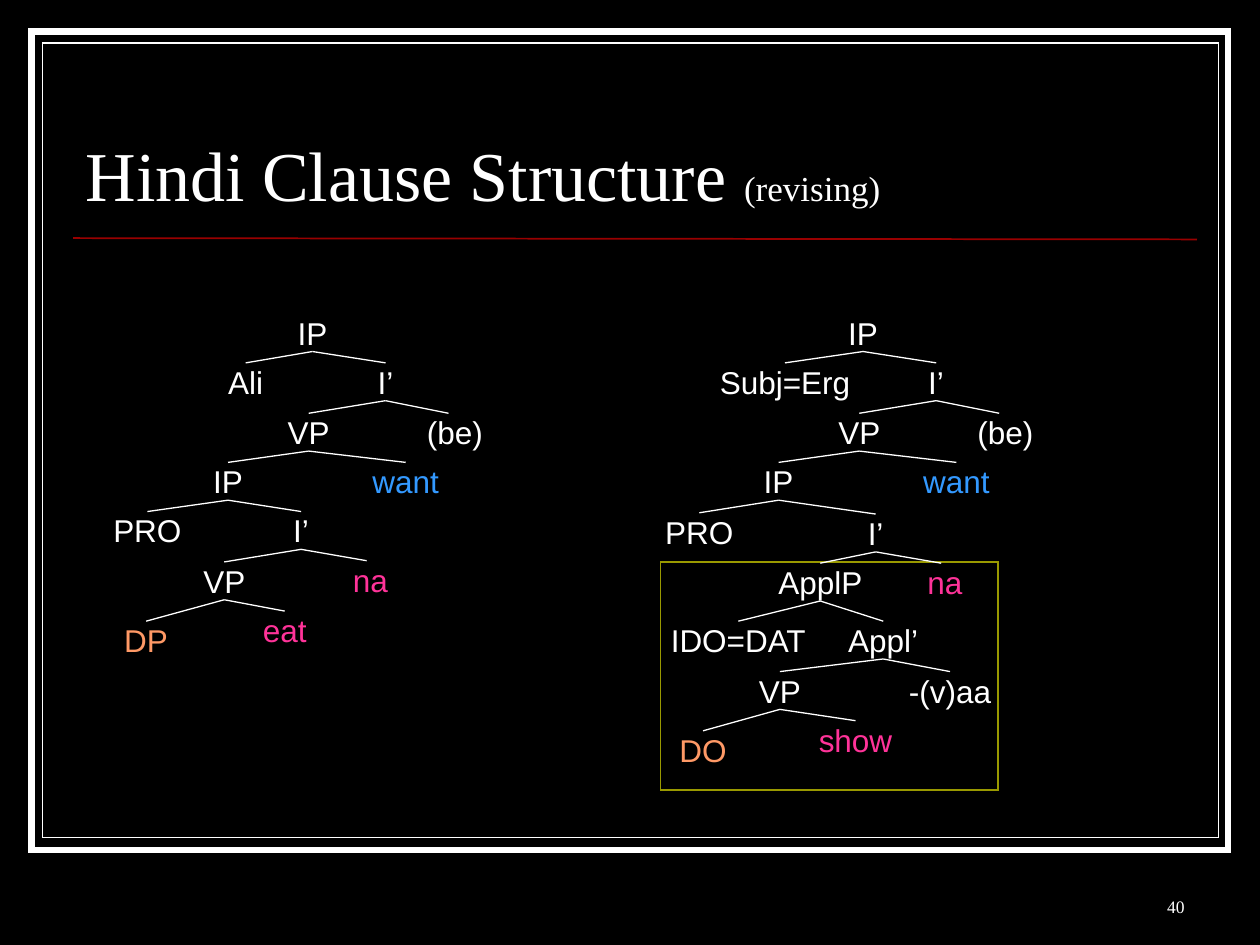
from dataclasses import dataclass

from lxml import etree
from pptx import Presentation
from pptx.dml.color import RGBColor
from pptx.enum.shapes import MSO_CONNECTOR, MSO_SHAPE
from pptx.enum.text import MSO_ANCHOR, MSO_AUTO_SIZE, PP_ALIGN
from pptx.oxml.ns import qn
from pptx.util import Emu, Pt

PX = 9144  # 100 px to the inch
STRAIGHT, RECTANGLE = MSO_CONNECTOR.STRAIGHT, MSO_SHAPE.RECTANGLE
BOTTOM, MIDDLE = MSO_ANCHOR.BOTTOM, MSO_ANCHOR.MIDDLE
LEFT, CENTER, RIGHT = PP_ALIGN.LEFT, PP_ALIGN.CENTER, PP_ALIGN.RIGHT
NO_FIT = MSO_AUTO_SIZE.NONE

WHITE, BLACK, RED, OLIVE = "FFFFFF", "000000", "990000", "999900"
BLUE, PINK, ORANGE = "3399FF", "FF3399", "FF9966"
SERIF, SANS = "Times New Roman", "Arial"
LABEL_HEIGHT = 30


@dataclass
class Node:
    """A label centred on x, with its branches; tip shifts the line's end."""
    text: str
    x: int
    y: int
    width: int
    color: str = WHITE
    tip: int = 0
    children: tuple = ()


def px(*lengths):
    return [Emu(length * PX) for length in lengths]


def rgb(code):
    return RGBColor.from_string(code)


def apply(target, **values):
    for name, value in values.items():
        setattr(target, name, value)


def add_span(para, text, size, font, color=WHITE):
    span = para.add_run()
    span.text = text
    apply(span.font, size=Pt(size), name=font)
    span.font.color.rgb = rgb(color)


def add_line(page, start, end, color=WHITE, width=0.75):
    line = page.shapes.add_connector(STRAIGHT, *px(*start, *end))
    line.line.color.rgb = rgb(color)
    line.line.width = Pt(width)
    etree.SubElement(line.element.spPr, qn("a:effectLst"))


def add_outline(page, box, color, width, fill=None):
    shape = page.shapes.add_shape(RECTANGLE, *px(*box))
    shape.shadow.inherit = False
    if fill:
        shape.fill.solid()
        shape.fill.fore_color.rgb = rgb(fill)
    else:
        shape.fill.background()
    shape.line.color.rgb = rgb(color)
    shape.line.width = Pt(width)
    # Square corners
    etree.SubElement(shape.element.spPr.find(qn("a:ln")), qn("a:miter"), lim="800000")


def add_frame(page, box):
    left, top, width, height = box
    add_outline(page, box, WHITE, 3.5, BLACK)
    add_outline(page, (left + 9, top + 9, width - 17, height - 19), WHITE, 0.75, BLACK)
    add_line(page, (left + 33, top + 164), (left + width - 25, top + 165), RED, 1)


def add_title(page, box):
    title = page.shapes.title
    page.shapes.element.append(title.element)  # bring in front of the frame
    apply(title, **dict(zip(("left", "top", "width", "height"), px(*box))))
    apply(title.text_frame, vertical_anchor=BOTTOM, word_wrap=True, auto_size=NO_FIT)
    para = title.text_frame.paragraphs[0]
    apply(para, alignment=LEFT, line_spacing=0.8)
    add_span(para, "Hindi Clause Structure ", 40, SERIF)
    add_span(para, "(revising)", 20, SERIF)


def add_page_number(page, box, number):
    frame = page.shapes.add_textbox(*px(*box)).text_frame
    apply(frame, vertical_anchor=BOTTOM, word_wrap=True)
    frame.paragraphs[0].alignment = RIGHT
    add_span(frame.paragraphs[0], number, 10, SERIF)


def add_tree(page, origin, node):
    left, top = origin
    x, y = left + node.x, top + node.y
    label = page.shapes.add_textbox(
        *px(x - node.width / 2, y, node.width, LABEL_HEIGHT))
    frame = label.text_frame
    apply(frame, margin_left=0, margin_top=0, margin_right=0, margin_bottom=0,
          vertical_anchor=MIDDLE, word_wrap=False, auto_size=NO_FIT)
    frame.paragraphs[0].alignment = CENTER
    add_span(frame.paragraphs[0], node.text, 18, SANS, node.color)
    for child in node.children:
        add_line(page, (x, y + LABEL_HEIGHT),
                 (left + child.x + child.tip, top + child.y))
        add_tree(page, origin, child)


def clause(subject, pronoun, infinitive):
    """The upper structure that both clauses share."""
    inner = Node("IP", 91, 118, 24, children=(pronoun, infinitive))
    verb = Node("VP", 155, 79, 35, children=(inner, Node("want", 232, 118, 54, BLUE)))
    bar = Node("I’", 216, 39, 14, children=(verb, Node("(be)", 271, 79, 46, tip=-5)))
    return Node("IP", 158, 0, 24, children=(subject, bar))


def infinitive_bar(x, y, phrase):
    suffix = Node("na", x + 55, y + 39, 30, PINK, tip=-3)
    return Node("I’", x, y, 14, children=(phrase, suffix))


def verb_phrase(x, y, objekt, verb):
    return Node("VP", x, y, 35, children=(objekt, verb))


def simple_clause():
    phrase = verb_phrase(88, 197, Node("DP", 26, 244, 36, ORANGE),
                         Node("eat", 136, 236, 36, PINK))
    return clause(Node("Ali", 105, 39, 29), Node("PRO", 27, 157, 56),
                  infinitive_bar(149, 157, phrase))


def applicative_clause():
    phrase = verb_phrase(92, 284, Node("DO", 31, 331, 39, ORANGE),
                         Node("show", 152, 323, 60, PINK))
    bar = Node("Appl’", 174, 244, 57,
               children=(phrase, Node("-(v)aa", 227, 284, 67)))
    applicative = Node("ApplP", 124, 198, 68,
                       children=(Node("IDO=DAT", 59, 244, 110), bar))
    return clause(Node("Subj=Erg", 96, 39, 105), Node("PRO", 28, 158, 56),
                  infinitive_bar(168, 159, applicative))


def main():
    deck = Presentation()
    deck.slide_width, deck.slide_height = px(1000, 750)
    page = deck.slides.add_slide(deck.slide_layouts[5])
    page.background.fill.solid()
    page.background.fill.fore_color.rgb = rgb(BLACK)

    add_frame(page, (25, 25, 950, 650))
    add_title(page, (58, 51, 892, 125))
    add_tree(page, (90, 249), simple_clause())
    add_outline(page, (524, 446, 268, 181), OLIVE, 0.75)
    add_tree(page, (527, 249), applicative_clause())
    add_page_number(page, (742, 683, 208, 50), "40")
    deck.save("out.pptx")


if __name__ == "__main__":
    main()
